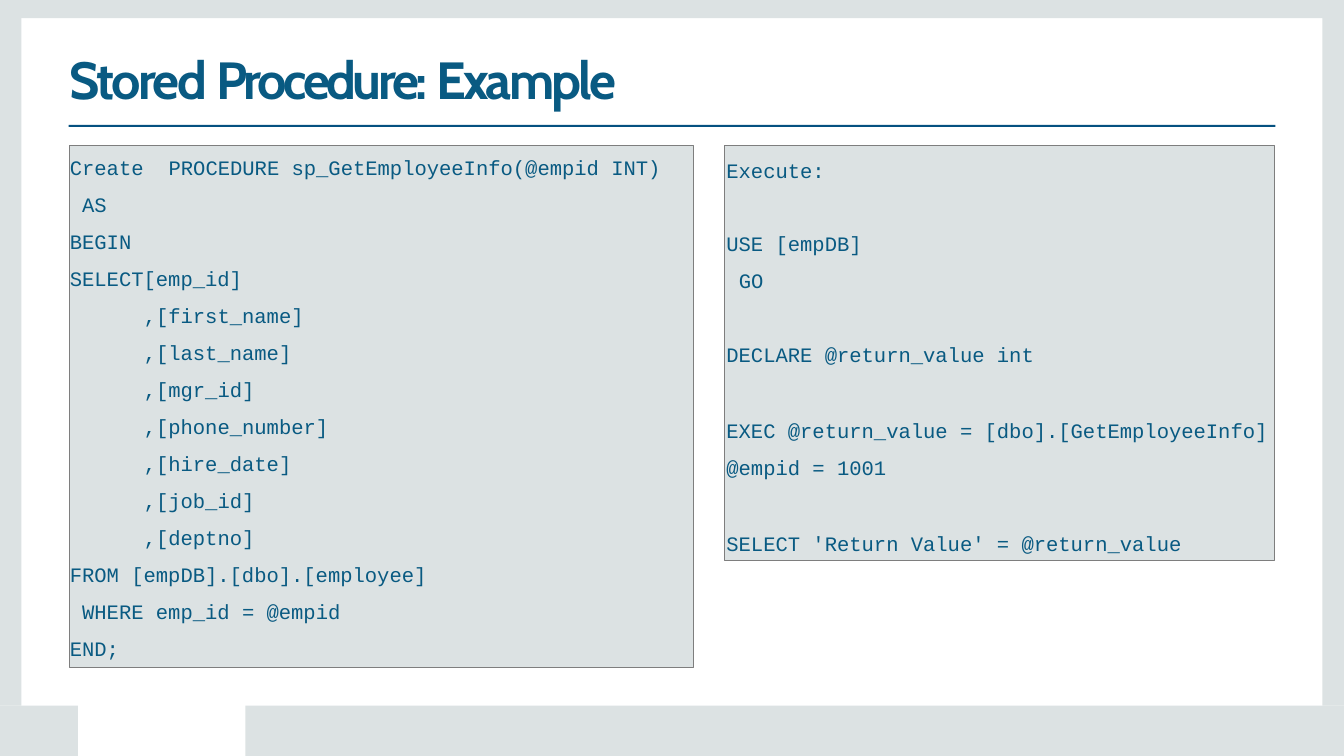
from pptx import Presentation
from pptx.dml.color import RGBColor
from pptx.enum.shapes import MSO_SHAPE
from pptx.enum.text import MSO_ANCHOR
from pptx.util import Inches, Pt

PALE = RGBColor(0xDC, 0xE2, 0xE3)
RULE_BLUE = RGBColor(0x05, 0x51, 0x80)
TEXT_BLUE = RGBColor(0x09, 0x5A, 0x82)
OUTLINE = RGBColor(0x7E, 0x7E, 0x7E)

ROW = 0.55  # height of one line of code, in inches
CHARACTER = Pt(13.2)  # advance of one code character

# Each block: left offset, row in the panel, width, and its lines as
# (text, indent in characters, space before in points).
PROCEDURE_BLOCKS = [
    (1.47, 0, 7.39, [("PROCEDURE sp_GetEmployeeInfo(@empid INT)", 0, 0)]),
    (0, 0, 1.13, [("Create", 0, 0), ("AS", 1, 0), ("BEGIN", 0, 0)]),
    (0, 3, 5.36, [
        ("SELECT[emp_id]", 0, 0),
        *[(f",[{column}]", 6, 0) for column in (
            "first_name", "last_name", "mgr_id", "phone_number",
            "hire_date", "job_id", "deptno")],
        ("FROM [empDB].[dbo].[employee]", 0, 0),
        ("WHERE emp_id = @empid", 1, 0),
        ("END;", 0, 0),
    ]),
]
EXECUTE_BLOCKS = [
    (0.02, 0, 1.5, [("Execute:", 0, 0)]),
    (0.02, 2, 2.05, [("USE [empDB]", 0, 0), ("GO", 1, 0)]),
    (0.02, 5, 8.12, [
        ("DECLARE @return_value int", 0, 0),
        ("EXEC @return_value = [dbo].[GetEmployeeInfo]", 0, 41.6),
        ("@empid = 1001", 0, 0),
        ("SELECT 'Return Value' = @return_value", 0, 41.6),
    ]),
]


def add_rectangle(slide, box, fill, line=None):
    shape = slide.shapes.add_shape(MSO_SHAPE.RECTANGLE, *map(Inches, box))
    shape.shadow.inherit = False
    shape.fill.solid()
    shape.fill.fore_color.rgb = fill
    if line is None:
        shape.line.fill.background()
    else:
        shape.line.color.rgb = line
        shape.line.width = Pt(0.96)
    return shape


def add_text_frame(slide, box):
    frame = slide.shapes.add_textbox(*map(Inches, box)).text_frame
    frame.word_wrap = True
    frame.vertical_anchor = MSO_ANCHOR.TOP
    frame.margin_left = frame.margin_right = 0
    frame.margin_top = frame.margin_bottom = 0
    return frame


def style_font(font, name, size, bold=False):
    font.name = name
    font.size = Pt(size)
    font.bold = bold
    font.color.rgb = TEXT_BLUE


def add_border(slide, box):
    """Pale frame around the page, open at the page-number slot."""
    left, top, width, height = box
    side, head, foot = 0.32, 0.27, 0.75
    slot_start, slot_end = 1.16, 3.65
    foot_top = top + height - foot
    side_height = height - head - foot
    for part in (
        (left + width - side, top + head, side, side_height),
        (left, top + head, side, side_height),
        (left + slot_end, foot_top, width - slot_end, foot),
        (left, foot_top, slot_start, foot),
        (left, top, width, head),
    ):
        add_rectangle(slide, part, PALE)


def add_title(slide, box):
    paragraph = add_text_frame(slide, box).paragraphs[0]
    paragraph.space_before = Pt(1.1)
    style_font(paragraph.font, "Cabin", 56, bold=True)
    for text, spacing in (("Stored ", -290), ("Procedure: ", -370), ("Example", -300)):
        run = paragraph.add_run()
        run.text = text
        run.font._element.set("spc", str(spacing))


def add_code_block(slide, box, lines):
    frame = add_text_frame(slide, box)
    for index, (text, indent, space) in enumerate(lines):
        paragraph = frame.add_paragraph() if index else frame.paragraphs[0]
        paragraph.text = text
        paragraph.line_spacing = Inches(ROW)
        paragraph.space_before = Pt(space)
        properties = paragraph._p.get_or_add_pPr()
        properties.set("marL", str(Inches(0.01) + indent * CHARACTER))
        properties.set("indent", "0")
        style_font(paragraph.font, "Courier New", 22)


def add_code_panel(slide, box, first_row, blocks):
    """Outlined panel; first_row is the offset of its first line from the top."""
    left, top, _, _ = box
    add_rectangle(slide, box, PALE, OUTLINE)
    for offset, row, width, lines in blocks:
        height = len(lines) * ROW + sum(space for _, _, space in lines) / 72
        block_box = (left + offset, top + first_row + row * ROW, width, height)
        add_code_block(slide, block_box, lines)


def main():
    presentation = Presentation()
    presentation.slide_width = Inches(20)
    presentation.slide_height = Inches(11.25)
    slide = presentation.slides.add_slide(presentation.slide_layouts[6])

    add_border(slide, (0, 0, 20, 11.25))
    add_rectangle(slide, (1.02, 1.86, 17.96, 0.03), RULE_BLUE)
    add_title(slide, (1.03, 0.7, 8.97, 0.96))
    add_code_panel(slide, (1.03, 2.16, 9.29, 7.77), -0.03, PROCEDURE_BLOCKS)
    add_code_panel(slide, (10.78, 2.16, 8.19, 6.18), 0, EXECUTE_BLOCKS)
    presentation.save("out.pptx")


if __name__ == "__main__":
    main()
